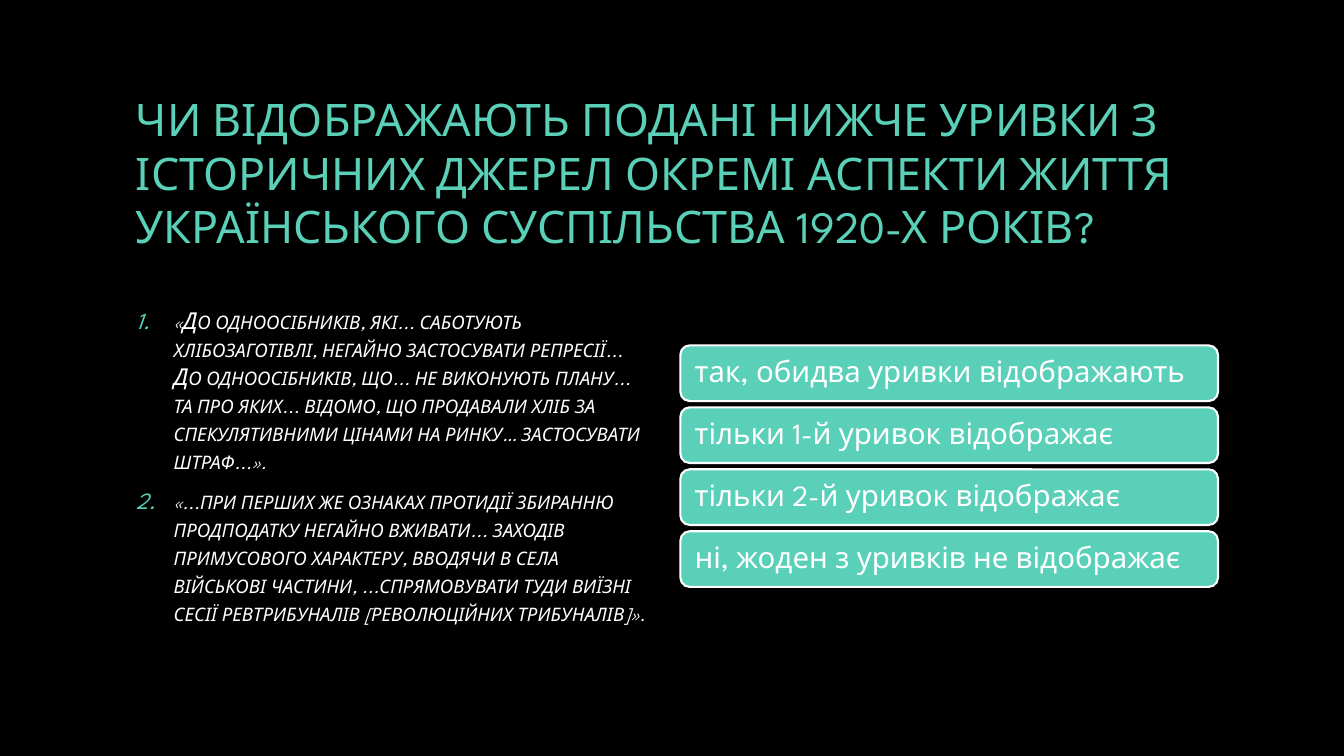
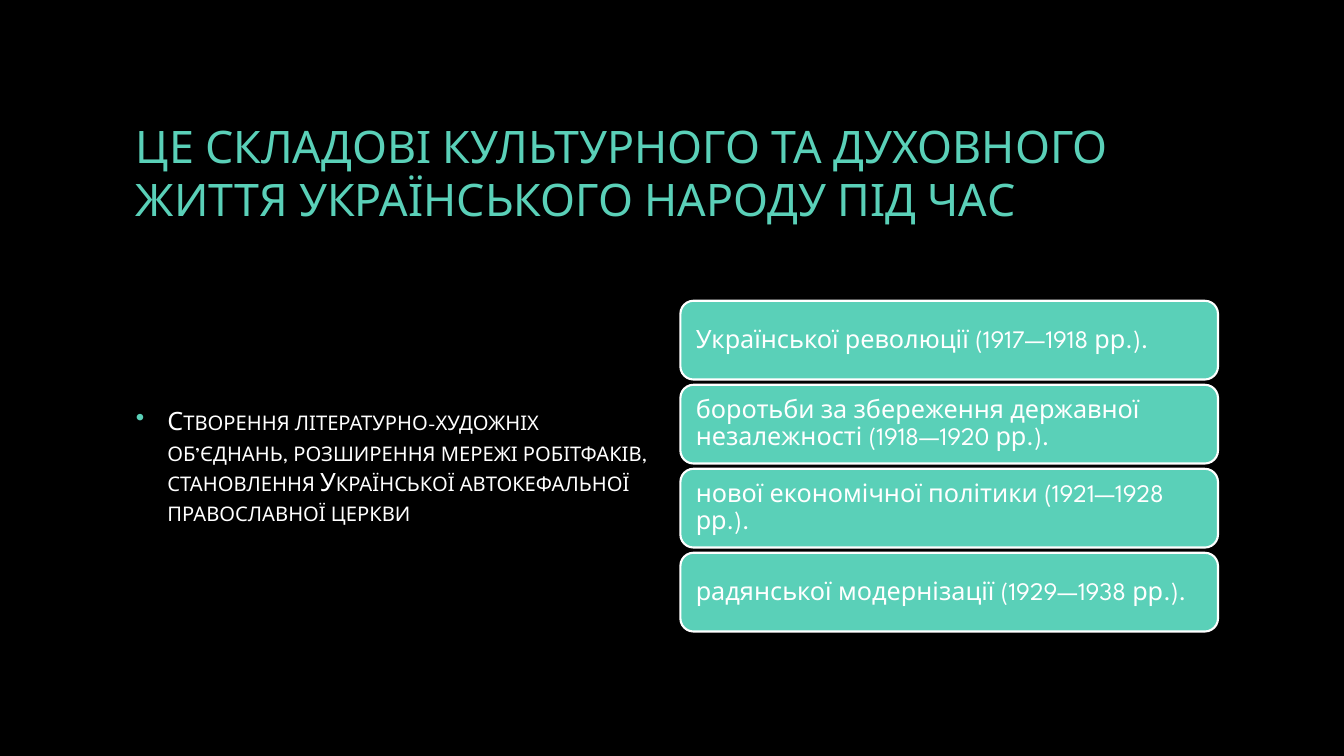
from lxml import etree
from pptx import Presentation
from pptx.dml.color import RGBColor
from pptx.enum.shapes import MSO_SHAPE
from pptx.enum.text import MSO_ANCHOR, PP_ALIGN
from pptx.oxml.ns import qn
from pptx.util import Pt

EMU_PER_PX = 9525
BLANK_LAYOUT = 6
ROUNDED = MSO_SHAPE.ROUNDED_RECTANGLE
MIDDLE = MSO_ANCHOR.MIDDLE
LEFT = PP_ALIGN.LEFT

FONT = "League Spartan"
BLACK = RGBColor(0x00, 0x00, 0x00)
WHITE = RGBColor(0xFF, 0xFF, 0xFF)
MINT = RGBColor(0x5A, 0xD0, 0xB8)

# Shared layout, in px: left, top, width, height
TITLE_BOX = (120, 64, 1040, 200)
BODY_BOX = (120, 280, 512, 328)
ANSWER_LEFT, ANSWER_WIDTH, ANSWER_INSET = 648, 512, 11


def px(length):
    return int(length * EMU_PER_PX)


def format_text(paragraph, size, color, italic=False, small_caps=False):
    for run in paragraph.runs:
        run.font.name = FONT
        run.font.size = Pt(size)
        run.font.color.rgb = color
        if italic:
            run.font.italic = True
        if small_caps:
            run.font._element.set("cap", "small")


def add_text_box(slide, box):
    shape = slide.shapes.add_textbox(*map(px, box))
    text_frame = shape.text_frame
    text_frame.word_wrap = True
    text_frame.vertical_anchor = MIDDLE
    return text_frame


def add_title(slide, text):
    text_frame = add_text_box(slide, TITLE_BOX)
    text_frame.text = text
    format_text(text_frame.paragraphs[0], 32, MINT)


def add_marker(paragraph, indent, numbered):
    """Give the paragraph a mint number or bullet with a hanging indent."""
    properties = paragraph._p.get_or_add_pPr()
    properties.set("marL", str(px(indent)))
    properties.set("indent", str(-px(indent)))
    color = etree.SubElement(properties, qn("a:buClr"))
    etree.SubElement(color, qn("a:srgbClr"), val=str(MINT))
    if numbered:
        etree.SubElement(properties, qn("a:buAutoNum"), type="arabicPeriod")
    else:
        etree.SubElement(properties, qn("a:buChar"), char="•")


def add_body(slide, items, size, indent, numbered=False):
    text_frame = add_text_box(slide, BODY_BOX)
    for index, item in enumerate(items):
        paragraph = text_frame.add_paragraph() if index else text_frame.paragraphs[0]
        paragraph.text = item
        add_marker(paragraph, indent, numbered)
        if index:
            paragraph.space_before = Pt(3)
        paragraph.space_after = Pt(6)
        format_text(paragraph, size, WHITE, italic=numbered, small_caps=True)


def add_answer(slide, text, top, height, size):
    shape = slide.shapes.add_shape(
        ROUNDED, px(ANSWER_LEFT), px(top), px(ANSWER_WIDTH), px(height))
    shape.shadow.inherit = False
    shape.fill.solid()
    shape.fill.fore_color.rgb = MINT
    shape.line.color.rgb = WHITE
    shape.line.width = Pt(1.5)

    text_frame = shape.text_frame
    text_frame.word_wrap = True
    text_frame.vertical_anchor = MIDDLE
    text_frame.margin_left = text_frame.margin_right = px(ANSWER_INSET)
    text_frame.margin_top = text_frame.margin_bottom = 0
    text_frame.text = text
    paragraph = text_frame.paragraphs[0]
    paragraph.alignment = LEFT
    paragraph.line_spacing = 0.9
    format_text(paragraph, size, WHITE)


def add_answers(slide, answers, height, gap, size):
    """Stack the answers, centred on the height of the body text."""
    pitch = height + gap
    total = len(answers) * pitch - gap
    first_top = BODY_BOX[1] + (BODY_BOX[3] - total) / 2
    for index, answer in enumerate(answers):
        add_answer(slide, answer, first_top + index * pitch, height, size)


def add_slide(presentation, title):
    slide = presentation.slides.add_slide(presentation.slide_layouts[BLANK_LAYOUT])
    add_title(slide, title)
    return slide


def main():
    presentation = Presentation()
    presentation.slide_width = px(1280)
    presentation.slide_height = px(720)
    background = presentation.slide_master.background.fill
    background.solid()
    background.fore_color.rgb = BLACK

    # Excerpts question
    slide = add_slide(
        presentation,
        "ЧИ ВІДОБРАЖАЮТЬ ПОДАНІ НИЖЧЕ УРИВКИ З ІСТОРИЧНИХ ДЖЕРЕЛ "
        "ОКРЕМІ АСПЕКТИ ЖИТТЯ УКРАЇНСЬКОГО СУСПІЛЬСТВА 1920-Х РОКІВ?")
    add_body(slide, [
        "«До одноосібників, які... саботують хлібозаготівлі, негайно "
        "застосувати репресії... До одноосібників, що... не виконують плану... "
        "та про яких... відомо, що продавали хліб за спекулятивними цінами "
        "на ринку… застосувати штраф...».",
        "«...при перших же ознаках протидії збиранню продподатку негайно "
        "вживати... заходів примусового характеру, вводячи в села військові "
        "частини, ...спрямовувати туди виїзні сесії ревтрибуналів "
        "[революційних трибуналів]».",
    ], size=16.6, indent=36, numbered=True)
    add_answers(slide, [
        "так, обидва уривки відображають",
        "тільки 1-й уривок відображає",
        "тільки 2-й уривок відображає",
        "ні, жоден з уривків не відображає",
    ], height=53, gap=6, size=21)

    # Cultural life question
    slide = add_slide(
        presentation,
        "ЦЕ СКЛАДОВІ КУЛЬТУРНОГО ТА ДУХОВНОГО ЖИТТЯ "
        "УКРАЇНСЬКОГО НАРОДУ ПІД ЧАС")
    add_body(slide, [
        "Створення літературно-художніх об’єднань, розширення мережі "
        "робітфаків, становлення Української автокефальної православної церкви",
    ], size=18, indent=30)
    add_answers(slide, [
        "Української революції (1917—1918 рр.).",
        "боротьби за збереження державної незалежності (1918—1920 рр.).",
        "нової економічної політики (1921—1928 рр.).",
        "радянської модернізації (1929—1938 рр.).",
    ], height=75, gap=5, size=18)

    presentation.save("out.pptx")


if __name__ == "__main__":
    main()
